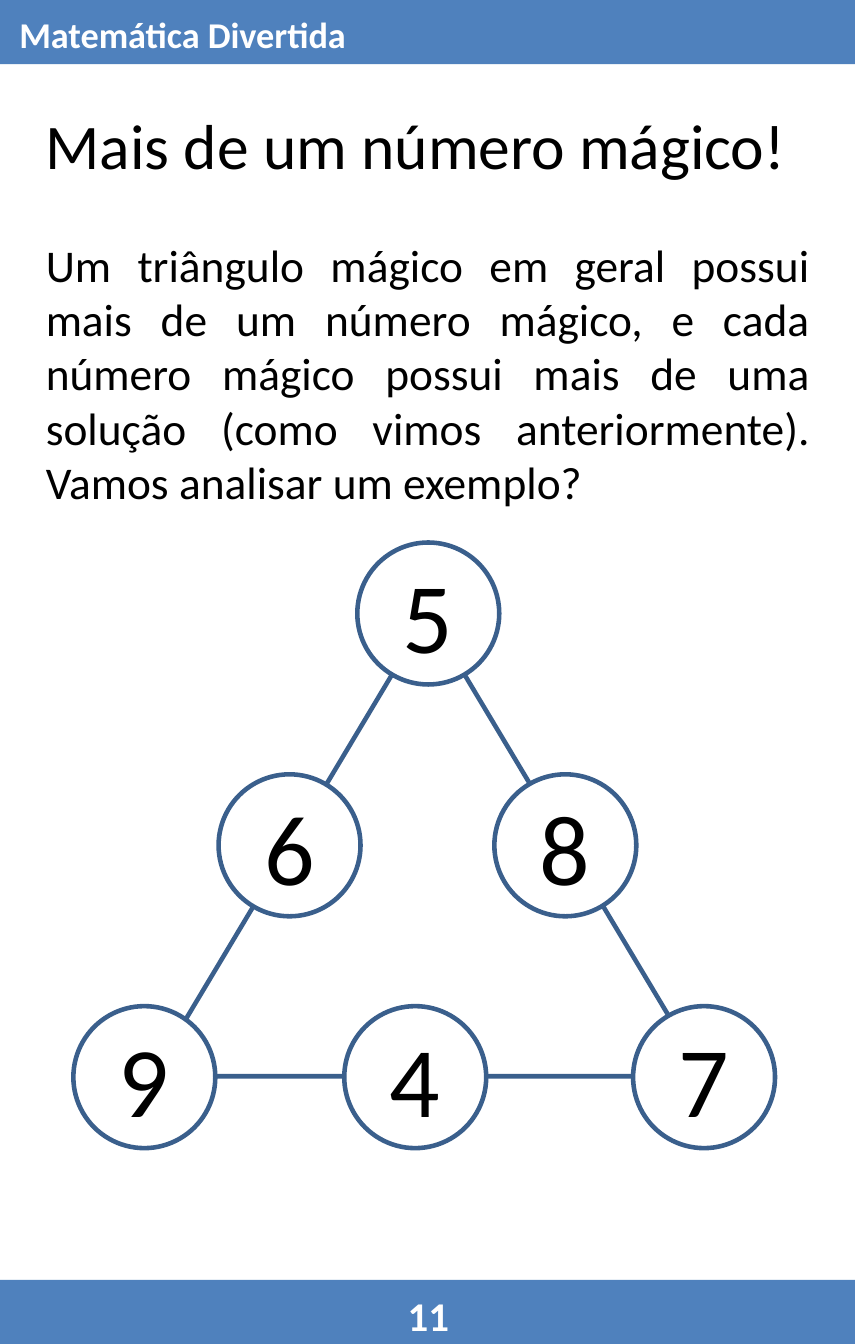
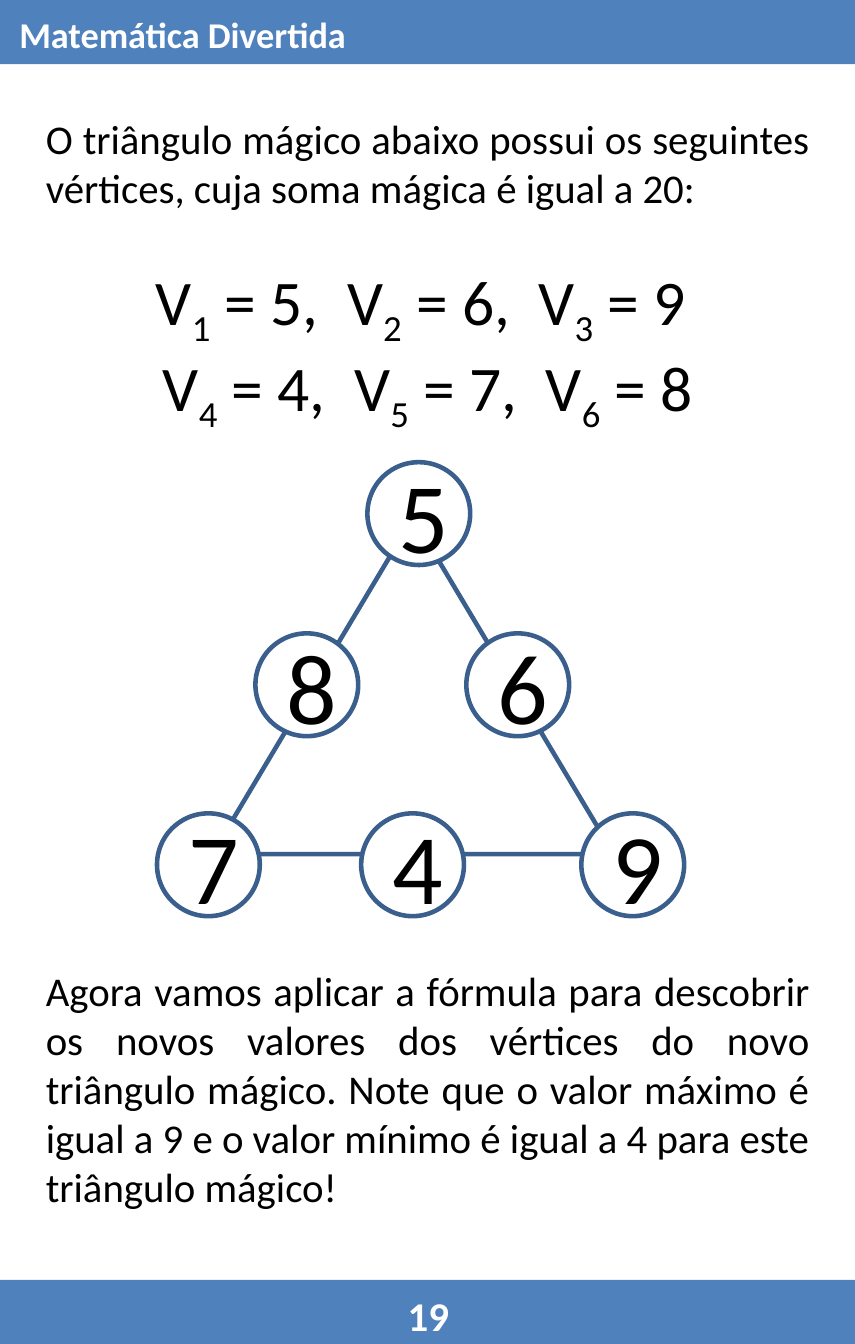
import pptx
import pptx.util
import pptx.dml.color
import pptx.enum.shapes
import pptx.enum.text
import pptx.oxml

WIDTH, HEIGHT = pptx.util.Cm(13.3), pptx.util.Cm(20.9)
ALIGN = pptx.enum.text.PP_ALIGN
SHAPES = pptx.enum.shapes.MSO_SHAPE


def color(hex_string):
    return pptx.dml.color.RGBColor.from_string(hex_string)


def share(x, y, width, height):
    """Turn percentages of the slide's size into lengths."""
    return (round(WIDTH * x / 100), round(HEIGHT * y / 100),
            round(WIDTH * width / 100), round(HEIGHT * height / 100))


class Booklet:
    FONT = "Calibri"
    BAND, OUTLINE, INK, PAPER = "4F81BD", "3A5F8C", "000000", "FFFFFF"
    MARGIN, COLUMN = 3.44, 93.2
    BAND_HEIGHT = 4.78
    DIGIT_SIZE, FORMULA_SIZE = 44, 28

    def __init__(self):
        self.presentation = pptx.Presentation()
        self.presentation.slide_width = WIDTH
        self.presentation.slide_height = HEIGHT
        self.slide = None

    # Page frame: bands, running header and page number
    def page(self, number, layout):
        layouts = self.presentation.slide_layouts
        self.slide = self.presentation.slides.add_slide(layouts.get_by_name(layout))
        for top in (100 - self.BAND_HEIGHT, 0):
            self.shape(SHAPES.RECTANGLE, (0, top, 100, self.BAND_HEIGHT), fill=self.BAND)
        self.label(str(number), (44.85, 95.43, 10.5, 4.57), 18, ALIGN.CENTER)
        self.label("Matemática Divertida", (0.38, 0.3, 49.62, 4.5), 16, ALIGN.LEFT)

    def shape(self, kind, box, fill=None, line=None):
        shape = self.slide.shapes.add_shape(kind, *share(*box))
        shape.shadow.inherit = False
        if fill:
            shape.fill.solid()
            shape.fill.fore_color.rgb = color(fill)
        else:
            shape.fill.background()
        if line:
            shape.line.color.rgb = color(line)
            shape.line.width = pptx.util.Pt(2)
        else:
            shape.line.fill.background()
        return shape

    def style(self, paragraph, size, alignment, ink=INK, bold=False):
        paragraph.alignment = alignment
        font = paragraph.font
        font.name, font.size, font.bold = self.FONT, pptx.util.Pt(size), bold
        font.color.rgb = color(ink)

    def label(self, text, box, size, alignment):
        frame = self.slide.shapes.add_textbox(*share(*box)).text_frame
        frame.word_wrap = True
        frame.text = text
        self.style(frame.paragraphs[0], size, alignment, self.PAPER, bold=True)

    # Text in the template's placeholders
    def fill_placeholder(self, index, text, top, height, size):
        placeholder = self.slide.placeholders[index]
        (placeholder.left, placeholder.top,
         placeholder.width, placeholder.height) = share(self.MARGIN, top, self.COLUMN, height)
        frame = placeholder.text_frame
        frame.word_wrap = True
        frame.auto_size = pptx.enum.text.MSO_AUTO_SIZE.NONE
        frame.vertical_anchor = pptx.enum.text.MSO_ANCHOR.TOP
        frame.text = text
        self.plain(frame.paragraphs[0])
        self.style(frame.paragraphs[0], size, ALIGN.JUSTIFY)
        return frame

    def plain(self, paragraph, space_before=0):
        """Remove the bullet and indent that a list paragraph inherits."""
        properties = paragraph._p.get_or_add_pPr()
        properties.set("marL", "0")
        properties.set("indent", "0")
        namespace = "http://schemas.openxmlformats.org/drawingml/2006/main"
        properties.append(pptx.oxml.parse_xml(f'<a:buNone xmlns:a="{namespace}"/>'))
        paragraph.space_before = pptx.util.Pt(space_before)

    def title(self, text):
        self.fill_placeholder(0, text, 7.29, 6.93, 28)

    def untitled(self):
        element = self.slide.shapes.title.element
        element.getparent().remove(element)

    def vertex_values(self, frame, first, values, space_before=0):
        paragraph = frame.add_paragraph()
        self.plain(paragraph, space_before)
        self.style(paragraph, self.FORMULA_SIZE, ALIGN.CENTER)
        for position, value in enumerate(values):
            if position:
                # One space, widened to twice its width
                self.run(paragraph, " ", "spc", 630)
            self.run(paragraph, "V")
            self.run(paragraph, str(first + position), "baseline", -25000)
            self.run(paragraph, f" = {value}")

    def run(self, paragraph, text, attribute=None, value=0):
        run = paragraph.add_run()
        run.text = text
        if attribute:
            run._r.get_or_add_rPr().set(attribute, str(value))

    # Magic triangle: circles given as rows of (centre x, digit)
    def magic_triangle(self, box, diameter, rows):
        self.shape(SHAPES.ISOSCELES_TRIANGLE, box, line=self.OUTLINE)
        tall = diameter * WIDTH / HEIGHT
        for y, circles in rows:
            for x, digit in circles:
                circle = self.shape(SHAPES.OVAL, (x - diameter / 2, y - tall / 2, diameter, tall),
                                    self.PAPER, self.OUTLINE)
                circle.text_frame.text = str(digit)
                self.style(circle.text_frame.paragraphs[0], self.DIGIT_SIZE, ALIGN.CENTER)


def main():
    booklet = Booklet()

    # Page 11: more than one magic number
    booklet.page(11, "Title and Content")
    booklet.title("Mais de um número mágico!")
    booklet.fill_placeholder(
        1, "Um triângulo mágico em geral possui mais de um número mágico, e cada número "
        "mágico possui mais de uma solução (como vimos anteriormente). Vamos analisar um "
        "exemplo?", 17, 21.6, 20)
    booklet.magic_triangle((17.75, 45.69, 64.69, 34.39), 16.6, [
        (45.65, [(50.1, 5)]),
        (62.9, [(33.87, 6), (66.13, 8)]),
        (80.15, [(16.89, 9), (48.57, 4), (82.35, 7)]),
    ])

    # Page 19: vertices with magic sum 20
    booklet.page(19, "Two Content")
    booklet.untitled()
    frame = booklet.fill_placeholder(
        1, "O triângulo mágico abaixo possui os seguintes vértices, cuja soma mágica é "
        "igual a 20:", 7.85, 23.69, 18)
    booklet.vertex_values(frame, 1, ("5,", "6,", "9 "), space_before=22)
    booklet.vertex_values(frame, 4, ("4,", "7,", "8"))
    booklet.magic_triangle((24.83, 38.52, 46.98, 25.03), 12.02, [
        (38.21, [(48.98, 5)]),
        (50.95, [(35.88, 8), (60.55, 6)]),
        (64.34, [(24.37, 7), (48.25, 4), (74, 9)]),
    ])
    booklet.fill_placeholder(
        2, "Agora vamos aplicar a fórmula para descobrir os novos valores dos vértices do "
        "novo triângulo mágico. Note que o valor máximo é igual a 9 e o valor mínimo é "
        "igual a 4 para este triângulo mágico!", 71.24, 19.68, 18)

    booklet.presentation.save("out.pptx")


if __name__ == "__main__":
    main()
